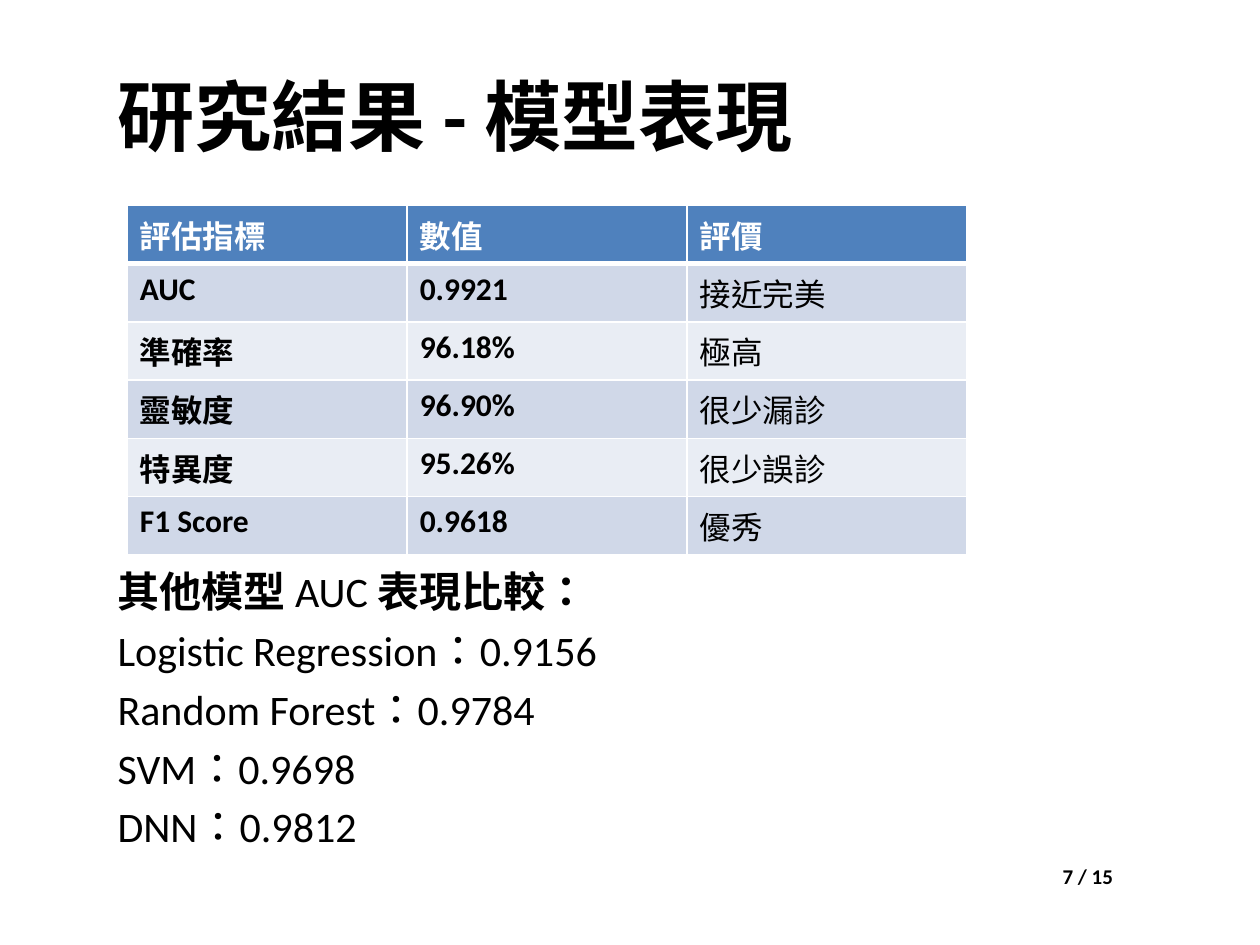
from dataclasses import dataclass

from lxml import etree
from pptx import Presentation
from pptx.dml.color import RGBColor
from pptx.enum.text import MSO_ANCHOR
from pptx.oxml.ns import qn
from pptx.util import Emu, Inches, Pt

MIDDLE, TOP = MSO_ANCHOR.MIDDLE, MSO_ANCHOR.TOP
BLANK_LAYOUT = 6


@dataclass(frozen=True)
class Theme:
    """Colours, type sizes and spacing of the deck."""

    font: str = "Calibri"
    language: str = "zh-TW"
    ink: str = "000000"
    paper: str = "FFFFFF"
    header: str = "4F81BD"
    bands: tuple = ("D0D8E8", "E9EDF4")
    title: int = 44
    body: int = 24
    cell: int = 18
    footer: int = 12
    gap: float = 4.8
    rule: int = 1
    header_rule: int = 3


THEME = Theme()
METRICS = (
    ("評估指標", "數值", "評價"),
    ("AUC", "0.9921", "接近完美"),
    ("準確率", "96.18%", "極高"),
    ("靈敏度", "96.90%", "很少漏診"),
    ("特異度", "95.26%", "很少誤診"),
    ("F1 Score", "0.9618", "優秀"),
)
HEADING = (("其他模型 ", True), ("AUC ", False), ("表現比較：", True))
MODELS = (
    ("Logistic Regression", "0.9156"),
    ("Random Forest", "0.9784"),
    ("SVM", "0.9698"),
    ("DNN", "0.9812"),
)


def share(deck, left, top, width, height):
    """Turn percentages of the slide's size into a box."""
    across, down = deck.slide_width / 100, deck.slide_height / 100
    return tuple(Emu(round(part)) for part in
                 (left * across, top * down, width * across, height * down))


def add_span(para, text, size, bold, color=THEME.ink):
    """Add one styled run to a paragraph."""
    span = para.add_run()
    span.text = text
    span.font.name = THEME.font
    span.font.size = Pt(size)
    span.font.bold = bold
    span.font.color.rgb = RGBColor.from_string(color)
    span._r.get_or_add_rPr().set("lang", THEME.language)


def add_frame(page, box, anchor=TOP):
    """Add a wrapping text box and return its text frame."""
    frame = page.shapes.add_textbox(*box).text_frame
    frame.word_wrap = True
    frame.vertical_anchor = anchor
    return frame


def add_line(page, box, text, size, anchor=TOP):
    """Add a single bold line of text."""
    frame = add_frame(page, box, anchor)
    add_span(frame.paragraphs[0], text, size, True)


def add_borders(cell, top, bottom):
    """Draw the four white borders of a cell."""
    properties = cell._tc.get_or_add_tcPr()
    widths = {"a:lnL": THEME.rule, "a:lnR": THEME.rule,
              "a:lnT": top, "a:lnB": bottom}
    for place, (tag, width) in enumerate(widths.items()):
        line = etree.Element(qn(tag), w=str(Pt(width)))
        fill = etree.SubElement(line, qn("a:solidFill"))
        etree.SubElement(fill, qn("a:srgbClr"), val=THEME.paper)
        properties.insert(place, line)


def add_metrics(page, box):
    """Fill a box with the table of metrics in equal columns and rows."""
    table = page.shapes.add_table(len(METRICS), len(METRICS[0]), *box).table
    for row, values in enumerate(METRICS):
        is_header = row == 0
        fill = THEME.header if is_header else THEME.bands[(row - 1) % 2]
        color = THEME.paper if is_header else THEME.ink
        top = THEME.header_rule if row == 1 else THEME.rule
        bottom = THEME.header_rule if is_header else THEME.rule
        for column, value in enumerate(values):
            cell = table.cell(row, column)
            cell.fill.solid()
            cell.fill.fore_color.rgb = RGBColor.from_string(fill)
            add_borders(cell, top, bottom)
            add_span(cell.text_frame.paragraphs[0], value, THEME.cell,
                     is_header or column < 2, color)


def add_comparison(page, box):
    """Fill a box with the heading and one line for each model."""
    frame = add_frame(page, box)
    lines = [HEADING]
    lines += [((f"{name}：{score}", False),) for name, score in MODELS]
    for index, spans in enumerate(lines):
        para = frame.add_paragraph() if index else frame.paragraphs[0]
        para.space_before = Pt(THEME.gap)
        for text, bold in spans:
            add_span(para, text, THEME.body, bold)


def build_results(deck):
    """Add the results slide."""
    page = deck.slides.add_slide(deck.slide_layouts[BLANK_LAYOUT])
    add_line(page, share(deck, 8.35, 3.85, 88.3, 16.67),
             "研究結果 - 模型表現", THEME.title, MIDDLE)
    add_comparison(page, share(deck, 8.35, 59.2, 88.3, 31.7))
    add_metrics(page, share(deck, 10.1, 21.75, 66.65, 36.95))
    add_line(page, share(deck, 83.35, 90.7, 13.9, 4),
             "7 / 15", THEME.footer)


def main():
    """Build and save the deck."""
    deck = Presentation()
    deck.slide_width, deck.slide_height = Inches(10), Inches(7.5)
    build_results(deck)
    deck.save("out.pptx")


if __name__ == "__main__":
    main()
